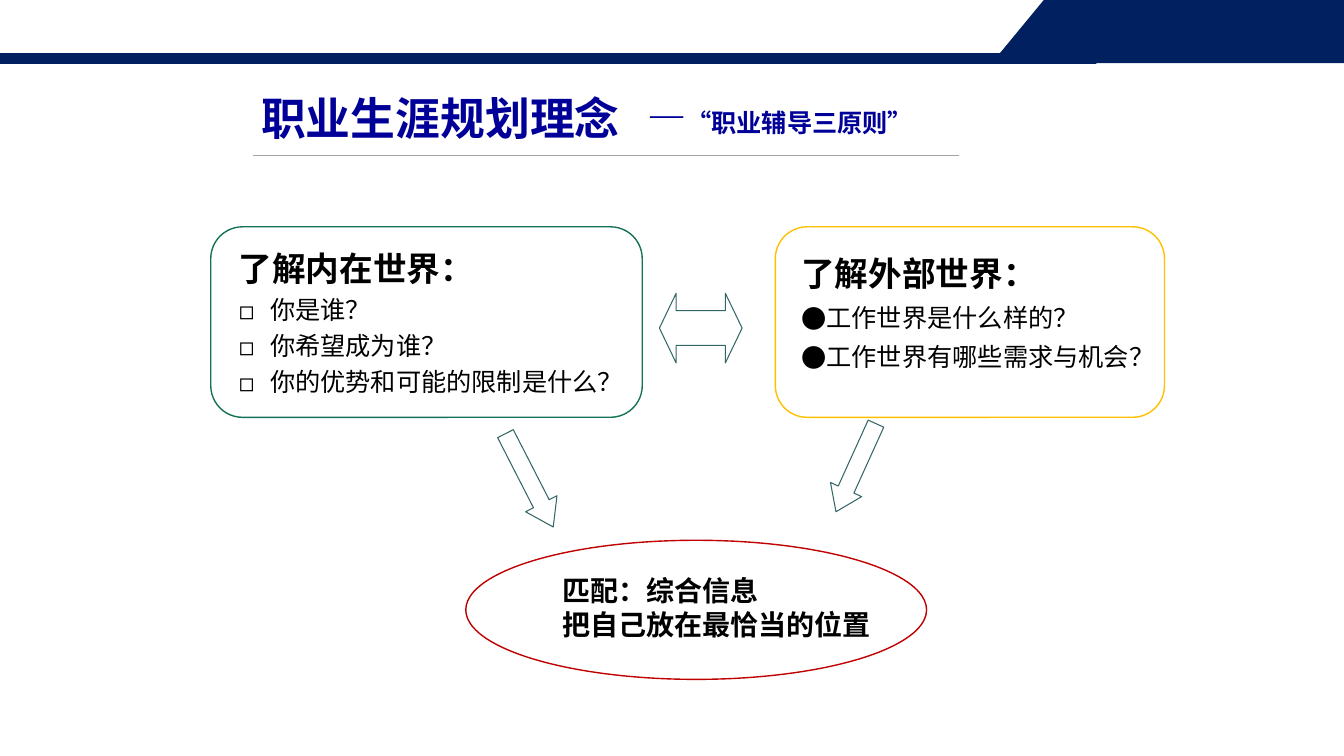
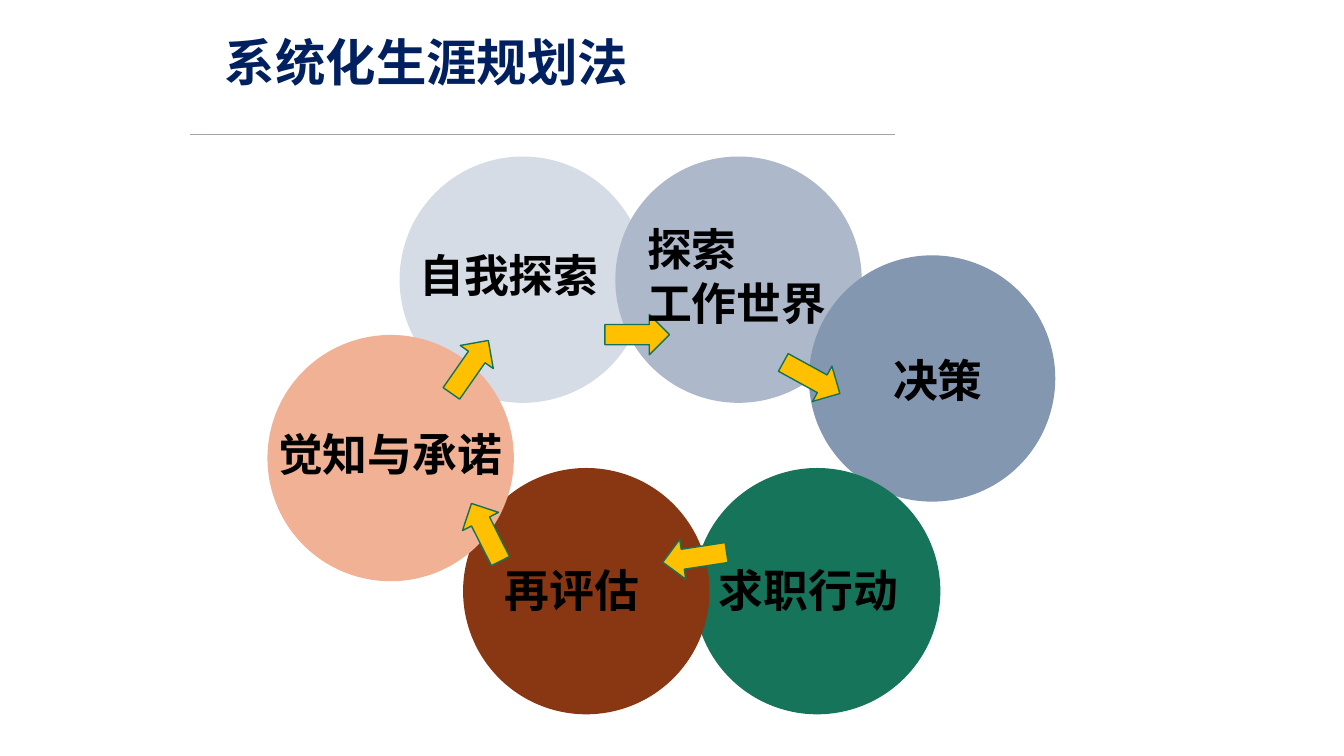
from lxml.etree import SubElement
from pptx import Presentation
from pptx.dml.color import RGBColor
from pptx.enum.shapes import MSO_CONNECTOR, MSO_SHAPE
from pptx.enum.text import MSO_ANCHOR, MSO_AUTO_SIZE, PP_ALIGN
from pptx.oxml.ns import qn
from pptx.util import Inches, Pt

FONT = "Noto Sans CJK SC"
BLACK = RGBColor(0x00, 0x00, 0x00)
NAVY = RGBColor(0x00, 0x20, 0x60)
BLUE = RGBColor(0x00, 0x00, 0x99)
TEAL = RGBColor(0x33, 0x66, 0x66)
GREEN = RGBColor(0x15, 0x72, 0x59)
GOLD = RGBColor(0xFF, 0xC0, 0x00)
RED = RGBColor(0xC0, 0x00, 0x00)
GREY = RGBColor(0xA0, 0xA6, 0xA9)
PALE_BLUE = RGBColor(0xD6, 0xDC, 0xE5)
LIGHT_BLUE = RGBColor(0xAD, 0xB9, 0xCA)
STEEL_BLUE = RGBColor(0x84, 0x97, 0xB0)
DEEP_GREEN = RGBColor(0x16, 0x74, 0x5A)
BROWN = RGBColor(0x89, 0x37, 0x13)
PEACH = RGBColor(0xF0, 0xB1, 0x95)


class Deck:
    RULE_WIDTH = 7

    def __init__(self):
        self.presentation = Presentation()
        self.presentation.slide_width = Inches(13.33)
        self.presentation.slide_height = Inches(7.5)
        self.slide = None

    def new_slide(self):
        self.slide = self.presentation.slides.add_slide(self.presentation.slide_layouts[5])

    def header_band(self):
        builder = self.slide.shapes.build_freeform(Inches(9.85), Inches(0.62))
        corners = [(10.37, -0.01), (13.33, -0.01), (13.33, 0.62)]
        builder.add_line_segments([(Inches(x), Inches(y)) for x, y in corners])
        self.paint(builder.convert_to_shape(), NAVY, NAVY, 1)
        self.shape(MSO_SHAPE.RECTANGLE, (0, 0.54, 10.87, 0.08), NAVY, NAVY, 1.5)

    def paint(self, shape, line, fill=None, width=1):
        shape.shadow.inherit = False
        shape.line.color.rgb = line
        shape.line.width = Pt(width)
        if fill is None:
            shape.fill.background()
        else:
            shape.fill.solid()
            shape.fill.fore_color.rgb = fill

    def shape(self, kind, box, line, fill=None, width=1, rotation=0, adjustments=()):
        shape = self.slide.shapes.add_shape(kind, *map(Inches, box))
        self.paint(shape, line, fill, width)
        shape.rotation = rotation
        for index, value in enumerate(adjustments):
            shape.adjustments[index] = value

    def rule(self, left, top):
        line = self.slide.shapes.add_connector(
            MSO_CONNECTOR.STRAIGHT, Inches(left), Inches(top),
            Inches(left + self.RULE_WIDTH), Inches(top))
        line.line.color.rgb = GREY
        line.line.width = Pt(0.5)
        SubElement(line._element.spPr, qn("a:effectLst"))

    def run(self, paragraph, text, size, color=BLACK, bold=True):
        run = paragraph.add_run()
        run.text = text
        run.font.color.rgb = color
        for name, value in {"name": FONT, "size": Pt(size), "bold": bold}.items():
            setattr(run.font, name, value)
        SubElement(run._r.get_or_add_rPr(), qn("a:ea"), typeface=FONT)

    def title(self, text, box, size, color, anchor, spacing=None):
        title = self.slide.shapes.title
        for name, value in zip(("left", "top", "width", "height"), box):
            setattr(title, name, Inches(value))
        frame = title.text_frame
        frame.auto_size = MSO_AUTO_SIZE.NONE
        frame.vertical_anchor = anchor
        paragraph = frame.paragraphs[0]
        paragraph.alignment = PP_ALIGN.LEFT
        paragraph.line_spacing = spacing
        self.run(paragraph, text, size, color)

    def text(self, box, paragraphs, wrap=False, **paragraph_format):
        """Each paragraph is a list of run argument tuples; returns the paragraphs."""
        frame = self.slide.shapes.add_textbox(*map(Inches, box)).text_frame
        frame.word_wrap = wrap
        for index, runs in enumerate(paragraphs):
            paragraph = frame.add_paragraph() if index else frame.paragraphs[0]
            for name, value in paragraph_format.items():
                setattr(paragraph, name, value)
            for run in runs:
                self.run(paragraph, *run)
        return frame.paragraphs

    def question_list(self, box, heading, questions, bullet, spacing, indent=0):
        lines = [[(heading, 24)]] + [[(question, 18, BLACK, False)] for question in questions]
        paragraphs = self.text(box, lines, wrap=True,
                               alignment=PP_ALIGN.JUSTIFY, line_spacing=spacing)
        for paragraph in paragraphs[1:]:
            properties = paragraph._p.get_or_add_pPr()
            properties.set("marL", str(Inches(indent)))
            properties.set("indent", str(-Inches(indent)))
            color = SubElement(properties, qn("a:buClr"))
            SubElement(color, qn("a:srgbClr"), val=str(BLACK))
            SubElement(properties, qn("a:buFont"), typeface=FONT)
            SubElement(properties, qn("a:buChar"), char=bullet)


def principles_slide(deck):
    deck.new_slide()
    deck.header_band()
    deck.title("职业生涯规划理念", (2.49, 0.54, 8.36, 1.25), 32, BLUE, MSO_ANCHOR.MIDDLE)
    deck.text((6.32, 0.88, 2.9, 0.57), [[("—", 28, BLUE), ("“职业辅导三原则”", 18, BLUE)]])
    deck.rule(2.51, 1.54)

    for kind, box, rotation, adjustments in [
        (MSO_SHAPE.LEFT_RIGHT_ARROW, (6.54, 2.91, 0.82, 0.69), 0, (0.5, 0.24)),
        (MSO_SHAPE.RIGHT_ARROW, (4.73, 4.59, 1.04, 0.35), 62.9, (0.5, 0.74)),
        (MSO_SHAPE.RIGHT_ARROW, (8.01, 4.47, 0.96, 0.34), 114.4, (0.5, 0.71)),
    ]:
        deck.shape(kind, box, TEAL, None, 0.75, rotation, adjustments)

    for kind, box, line in [
        (MSO_SHAPE.ROUNDED_RECTANGLE, (2.09, 2.25, 4.28, 1.89), GREEN),
        (MSO_SHAPE.ROUNDED_RECTANGLE, (7.69, 2.25, 3.86, 1.89), GOLD),
        (MSO_SHAPE.OVAL, (4.62, 5.36, 4.57, 1.38), RED),
    ]:
        deck.shape(kind, box, line)

    deck.question_list((2.27, 2.33, 4.27, 1.68), "了解内在世界：",
                       ["你是谁？", "你希望成为谁？", "你的优势和可能的限制是什么？"],
                       "◻", 1.2, 0.31)
    deck.question_list((7.85, 2.34, 3.81, 1.41), "了解外部世界：",
                       ["工作世界是什么样的？", "工作世界有哪些需求与机会？"], "●", 1.3)
    deck.text((5.48, 5.64, 5, 0.77),
              [[("匹配：综合信息", 20)], [("把自己放在最恰当的位置", 20)]], wrap=True)


def planning_cycle_slide(deck):
    deck.new_slide()
    deck.title("系统化生涯规划法", (2.13, 0.33, 7.48, 1.25), 36, NAVY, MSO_ANCHOR.TOP, 0.9)
    deck.rule(1.88, 1.33)

    diameter = 2.43
    steps = [
        (3.97, 1.56, PALE_BLUE, ["自我探索"], (4.06, 2.41, 2, 0.64)),
        (6.11, 1.56, LIGHT_BLUE, ["探索", "工作世界"], (6.32, 2.15, 2, 1.18)),
        (8.03, 2.54, STEEL_BLUE, ["决策"], (8.76, 3.45, 1.1, 0.64)),
        (6.89, 4.65, DEEP_GREEN, ["求职行动"], (7.03, 5.53, 2, 0.64)),
        (4.6, 4.65, BROWN, ["再评估"], (4.91, 5.53, 1.55, 0.64)),
        (2.66, 3.33, PEACH, ["觉知与承诺"], (2.66, 4.18, 2.45, 0.64)),
    ]
    for left, top, color, _, _ in steps:
        deck.shape(MSO_SHAPE.OVAL, (left, top, diameter, diameter), color, color)
    for left, top, rotation in [
        (6, 3.12, 0), (7.73, 3.55, 28.8), (6.57, 5.33, 171.3),
        (4.5, 5.08, 243.3), (4.34, 3.44, 304.9),
    ]:
        deck.shape(MSO_SHAPE.RIGHT_ARROW, (left, top, 0.64, 0.4), GREEN, GOLD,
                   rotation=rotation)
    for _, _, _, lines, label_box in steps:
        deck.text(label_box, [[(line, 32)] for line in lines])


def main():
    deck = Deck()
    principles_slide(deck)
    planning_cycle_slide(deck)
    deck.presentation.save("out.pptx")


if __name__ == "__main__":
    main()
